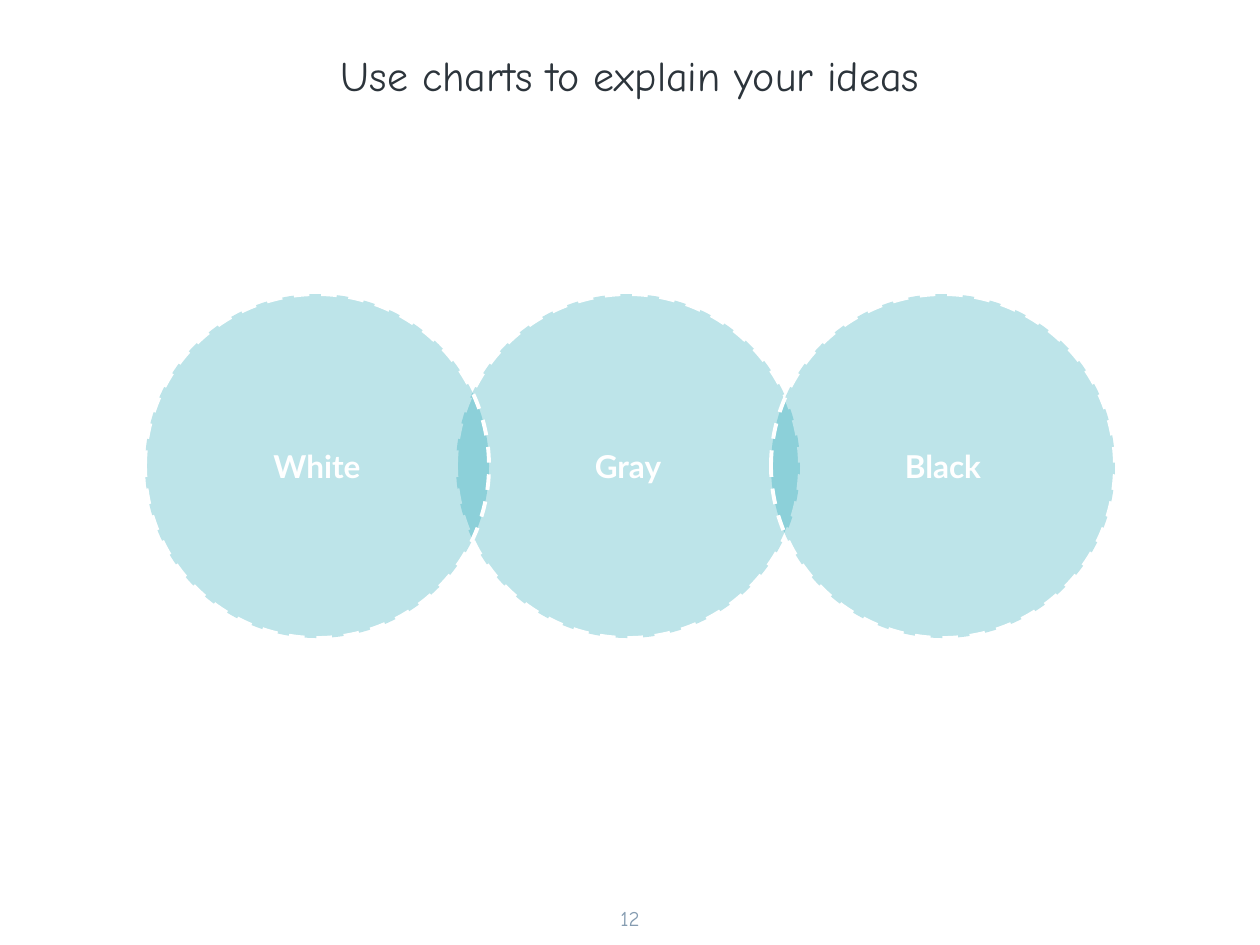
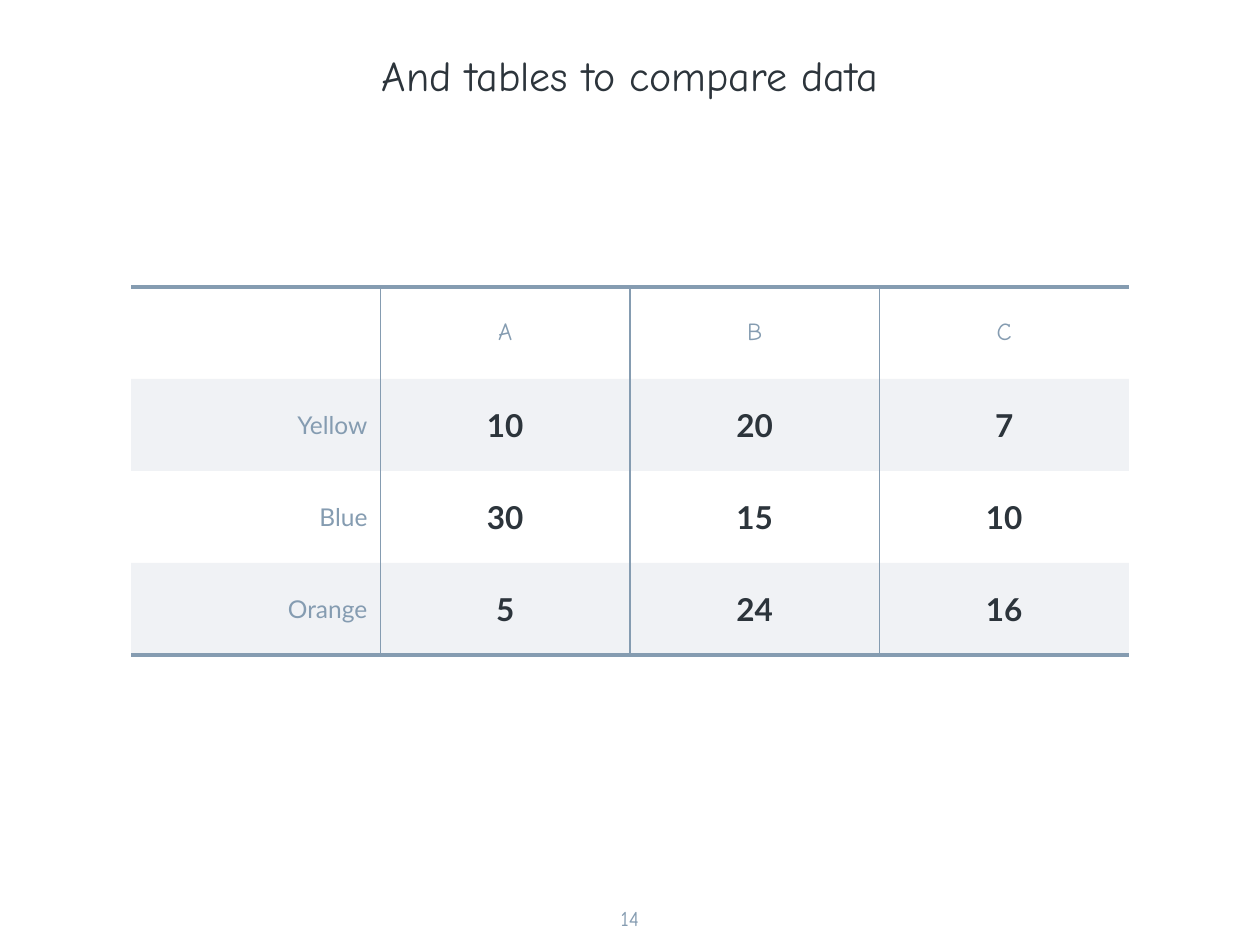
from dataclasses import dataclass

from lxml.etree import SubElement
from pptx import Presentation
from pptx.dml.color import RGBColor
from pptx.enum.dml import MSO_LINE_DASH_STYLE as Dash
from pptx.enum.shapes import MSO_SHAPE as Shape
from pptx.enum.text import MSO_ANCHOR as Anchor, PP_ALIGN as Align
from pptx.oxml.ns import qn
from pptx.util import Emu, Pt


@dataclass(frozen=True)
class Theme:
    """Colours, type styles, line widths and measures shared by the slides."""
    ink: str = "2C343B"
    slate: str = "859CB1"
    teal: str = "0198AD"
    white: str = "FFFFFF"
    hand: str = "Comic Neue"
    sans: str = "Lato"
    title_size: int = 24
    value_size: int = 18
    label_size: int = 14
    page_size: int = 12
    rule: float = 2.25
    hairline: float = 0.75
    inset: int = 13
    circle_opacity: int = 26
    band_opacity: int = 12


THEME = Theme()
EMU_PER_PX = 914400 / 126
SLIDE_BOX = (1260, 945)
TITLE_BOX = (63, -4, 1134, 158)
PAGE_BOX = (592, 893, 76, 52)
VENN_BOX = (145, 294, 970, 344)
TABLE_BOX = (131, 287, 998, 368)

TITLE_STYLE = dict(size=THEME.title_size, name=THEME.hand, color=THEME.ink)
PAGE_STYLE = dict(size=THEME.page_size, name=THEME.hand, color=THEME.slate)
CIRCLE_STYLE = dict(size=THEME.value_size, name=THEME.sans, color=THEME.white, bold=True)
COLUMN_STYLE = dict(size=THEME.label_size, name=THEME.hand, color=THEME.slate, bold=False)
ROW_STYLE = dict(COLUMN_STYLE, name=THEME.sans)
VALUE_STYLE = dict(size=THEME.value_size, name=THEME.sans, color=THEME.ink, bold=True)

CIRCLES = (("Gray", 311), ("White", 0), ("Black", 626))
COMPARISON = (
    ("", "A", "B", "C"),
    ("Yellow", "10", "20", "7"),
    ("Blue", "30", "15", "10"),
    ("Orange", "5", "24", "16"),
)


def px(*lengths):
    """Turn px lengths into a list of EMU lengths."""
    return [Emu(round(length * EMU_PER_PX)) for length in lengths]


def set_insets(holder):
    """Give a cell or text frame the same inset on every side."""
    for side in ("left", "right", "top", "bottom"):
        setattr(holder, f"margin_{side}", px(THEME.inset)[0])


def write(frame, text, style, align=Align.CENTER):
    """Write one formatted paragraph into a text frame."""
    paragraph = frame.paragraphs[0]
    paragraph.alignment = align
    run = paragraph.add_run()
    run.text = text
    for key, value in style.items():
        if key == "color":
            run.font.color.rgb = RGBColor.from_string(value)
        else:
            setattr(run.font, key, Pt(value) if key == "size" else value)


def tint(fill, properties, color, opacity):
    """Fill with a colour at an opacity given in percent."""
    fill.solid()
    fill.fore_color.rgb = RGBColor.from_string(color)
    swatch = properties.find(f"{qn('a:solidFill')}/{qn('a:srgbClr')}")
    SubElement(swatch, qn("a:alpha"), val=str(opacity * 1000))


def add_text(slide, box, text, style, anchor):
    """Place a wrapped, centred text box."""
    frame = slide.shapes.add_textbox(*px(*box)).text_frame
    frame.word_wrap = True
    frame.vertical_anchor = anchor
    set_insets(frame)
    write(frame, text, style)


def add_page(deck, title, number):
    """Start a slide with its title and page number."""
    slide = deck.slides.add_slide(deck.slide_layouts[6])
    add_text(slide, TITLE_BOX, title, TITLE_STYLE, Anchor.MIDDLE)
    add_text(slide, PAGE_BOX, number, PAGE_STYLE, Anchor.TOP)
    return slide


def add_venn(slide, box):
    """Place the row of overlapping circles in the box."""
    left, top, _, diameter = box
    for label, offset in CIRCLES:
        circle = slide.shapes.add_shape(Shape.OVAL, *px(left + offset, top, diameter, diameter))
        circle.shadow.inherit = False
        tint(circle.fill, circle._element.spPr, THEME.teal, THEME.circle_opacity)
        circle.line.color.rgb = RGBColor.from_string(THEME.white)
        circle.line.width = Pt(THEME.rule)
        circle.line.dash_style = Dash.DASH
        frame = circle.text_frame
        frame.vertical_anchor = Anchor.MIDDLE
        set_insets(frame)
        write(frame, label, CIRCLE_STYLE)


def set_borders(properties, widths):
    """Draw the cell edges, leaving out those of zero width."""
    for side, width in widths.items():
        edge = SubElement(properties, qn(f"a:ln{side}"), w=str(Pt(width)))
        if width:
            paint = SubElement(edge, qn("a:solidFill"))
            SubElement(paint, qn("a:srgbClr"), val=THEME.slate)
        else:
            SubElement(edge, qn("a:noFill"))


def add_comparison(slide, box):
    """Place the ruled and banded comparison table in the box."""
    last_row, last_column = len(COMPARISON) - 1, len(COMPARISON[0]) - 1
    table = slide.shapes.add_table(last_row + 1, last_column + 1, *px(*box)).table
    table.first_row = table.horz_banding = False
    for r, entries in enumerate(COMPARISON):
        for c, entry in enumerate(entries):
            cell = table.cell(r, c)
            cell.vertical_anchor = Anchor.MIDDLE
            set_insets(cell)
            properties = cell._tc.get_or_add_tcPr()
            set_borders(properties, {
                "L": THEME.hairline if c > 0 else 0,
                "R": THEME.hairline if c < last_column else 0,
                "T": THEME.rule if r == 0 else 0,
                "B": THEME.rule if r == last_row else 0,
            })
            if r % 2:
                tint(cell.fill, properties, THEME.slate, THEME.band_opacity)
            else:
                cell.fill.background()
            if entry:
                style = COLUMN_STYLE if r == 0 else VALUE_STYLE if c else ROW_STYLE
                write(cell.text_frame, entry, style, Align.CENTER if c else Align.RIGHT)


def main():
    """Build the two slides and save the deck."""
    deck = Presentation()
    deck.slide_width, deck.slide_height = px(*SLIDE_BOX)
    add_venn(add_page(deck, "Use charts to explain your ideas", "12"), VENN_BOX)
    add_comparison(add_page(deck, "And tables to compare data", "14"), TABLE_BOX)
    deck.save("out.pptx")


if __name__ == "__main__":
    main()
